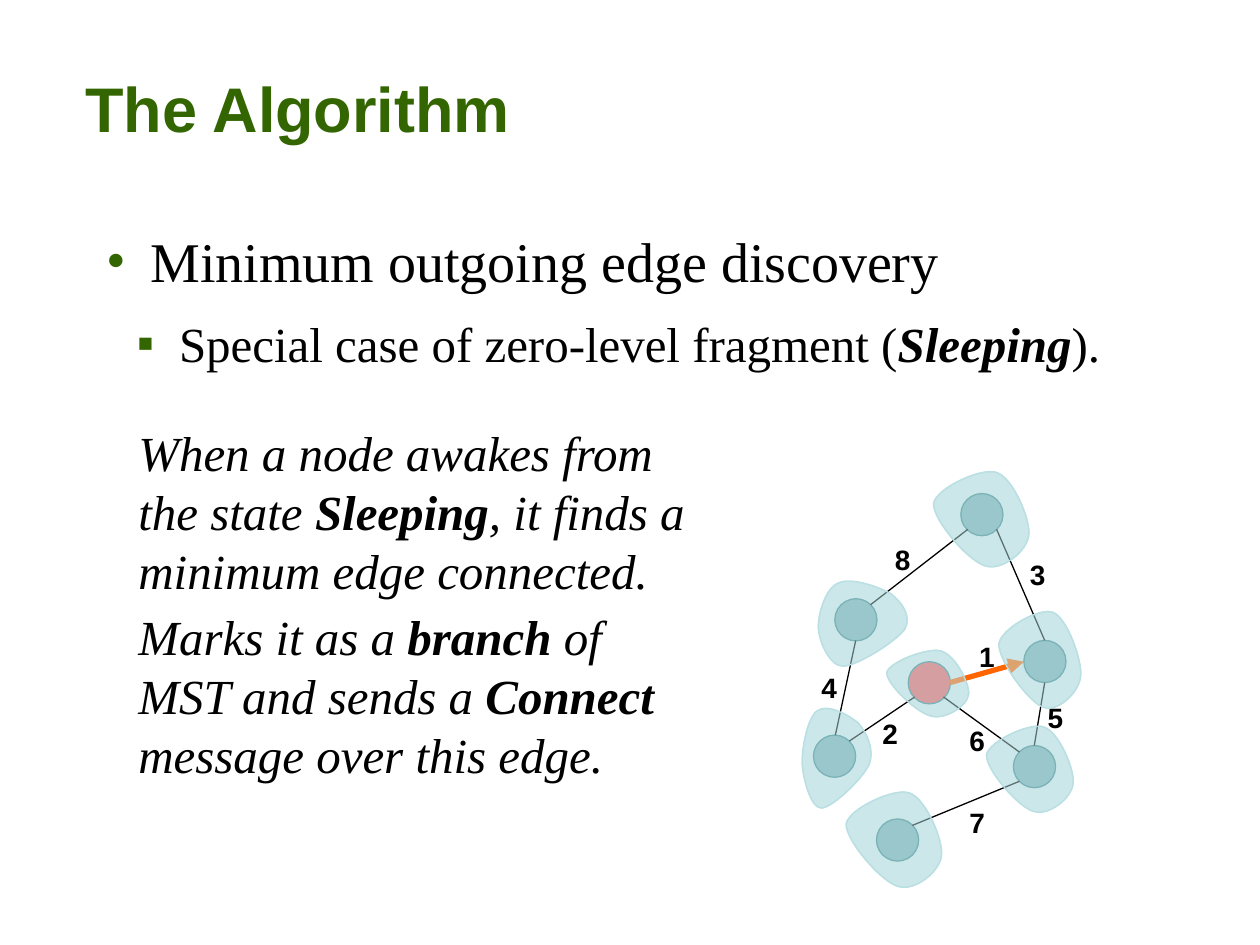
from pptx import Presentation
from pptx.dml.color import RGBColor
from pptx.enum.shapes import MSO_CONNECTOR, MSO_SHAPE
from pptx.enum.text import MSO_ANCHOR, PP_ALIGN
from pptx.oxml.ns import qn
from pptx.util import Cm, Pt
from lxml.etree import SubElement

COLORS = {
    "green": "336600",
    "black": "000000",
    "teal": "39858B",
    "pale": "BBE0E3",
    "red": "FF0000",
    "orange": "FF6600",
}
SERIF, SANS = "Times New Roman", "Arial"
NODE_SIZE = 0.85

# Closed Bezier outlines in percent of their box: anchor, then control, control, anchor
KITE = [(1, 35), (4, 20), (50, 0), (65, 5),
        (82, 10), (100, 51), (98, 66),
        (96, 82), (71, 100), (55, 96),
        (38, 93), (0, 51), (1, 35)]
PEAR = [(22, 7), (35, 0), (65, 11), (78, 19),
        (89, 28), (100, 43), (93, 58),
        (84, 72), (42, 100), (27, 100),
        (13, 100), (2, 73), (1, 58),
        (0, 42), (9, 12), (22, 7)]

# Fragments: outline, left, top, width, height
FRAGMENTS = [
    (PEAR, 16.48, 11.63, 1.9, 1.8),
    (KITE, 18.8, 9.42, 1.98, 2.08),
    (PEAR, 16.16, 14.18, 1.47, 2.11),
    (KITE, 17.86, 13.05, 1.7, 1.45),
    (KITE, 20.12, 12.24, 1.7, 2.11),
    (KITE, 19.87, 14.56, 1.8, 1.88),
    (KITE, 17.04, 15.88, 1.98, 2.08),
]
AWAKE_NODE = (18.31, 13.34)
NODES = [(19.37, 9.95), (20.43, 15.03), (20.64, 12.91),
         (17.67, 16.51), (16.83, 12.07), (16.4, 14.82)]
# Edges: weight, start, end, corner of the label
EDGES = [
    ("8", (17.55, 12.19), (19.51, 10.67), (17.79, 10.74)),
    ("1", (19.15, 13.76), (20.64, 13.34), (19.49, 12.7)),
    ("3", (21.06, 12.91), (20.09, 10.67), (20.51, 11.05)),
    ("2", (18.44, 14.05), (17.12, 14.94), (17.54, 14.25)),
    ("6", (19.02, 14.05), (20.55, 15.16), (19.29, 14.39)),
    ("5", (20.85, 15.03), (21.06, 13.76), (20.87, 13.92)),
    ("7", (20.55, 15.75), (18.39, 16.64), (19.29, 16.05)),
    ("4", (16.84, 14.82), (17.25, 12.91), (16.31, 13.33)),
]
MINIMUM_EDGE = "1"


class SlideBuilder:
    def __init__(self, slide):
        self.slide = slide

    def color(self, name):
        return RGBColor.from_string(COLORS[name])

    def font(self, paragraph, name, size, color="black", bold=None, italic=None):
        font = paragraph.font
        font.name, font.size, font.bold, font.italic = name, Pt(size), bold, italic
        font.color.rgb = self.color(color)

    def paint(self, shape, fill, line, opacity):
        shape.shadow.inherit = False
        shape.fill.solid()
        shape.fill.fore_color.rgb = self.color(fill)
        fill_color = shape.fill._xPr.find(qn("a:solidFill"))[0]
        SubElement(fill_color, qn("a:alpha"), val=str(opacity * 1000))
        shape.line.color.rgb = self.color(line)
        shape.line.width = Pt(0.75)

    def title(self, text, left, top, width, height):
        shape = self.slide.shapes.title
        shape.left, shape.top, shape.width, shape.height = map(Cm, (left, top, width, height))
        frame = shape.text_frame
        frame.text = text
        frame.vertical_anchor = MSO_ANCHOR.TOP
        paragraph = frame.paragraphs[0]
        paragraph.alignment = PP_ALIGN.LEFT
        self.font(paragraph, SANS, 36, "green", bold=True)

    def text(self, runs, left, top, width, height, size, italic=None, bullet=None, indent=0.88):
        """Runs alternate between plain and strong (bold italic)."""
        frame = self.slide.shapes.add_textbox(*map(Cm, (left, top, width, height))).text_frame
        frame.word_wrap = True
        paragraph = frame.paragraphs[0]
        self.font(paragraph, SERIF, size, italic=italic)
        for index, words in enumerate(runs):
            run = paragraph.add_run()
            run.text = words
            if index % 2:
                run.font.bold = run.font.italic = True
        if bullet:
            properties = paragraph._p.get_or_add_pPr()
            properties.set("marL", str(Cm(indent)))
            properties.set("indent", str(-Cm(indent)))
            bullet_color = properties.makeelement(qn("a:buClr"))
            SubElement(bullet_color, qn("a:srgbClr"), val=COLORS["green"])
            bullet_font = properties.makeelement(qn("a:buFont"), {"typeface": SERIF})
            character = properties.makeelement(qn("a:buChar"), {"char": bullet})
            for position, element in enumerate((bullet_color, bullet_font, character)):
                properties.insert(position, element)

    def label(self, text, left, top):
        frame = self.slide.shapes.add_textbox(Cm(left), Cm(top), Cm(0.64), Cm(1.07)).text_frame
        frame.word_wrap = False
        frame.vertical_anchor = MSO_ANCHOR.MIDDLE
        paragraph = frame.paragraphs[0]
        paragraph.text = text
        paragraph.alignment = PP_ALIGN.CENTER
        self.font(paragraph, SANS, 16, bold=True)

    def fragment(self, outline, left, top, width, height):
        # The freeform gives the box; its path is then filled with curves
        right, bottom = left + width, top + height
        builder = self.slide.shapes.build_freeform(Cm(left), Cm(top))
        builder.add_line_segments([(Cm(right), Cm(top)), (Cm(right), Cm(bottom))])
        shape = builder.convert_to_shape()
        curve = shape._element.spPr.find(".//" + qn("a:path"))
        for child in list(curve):
            curve.remove(child)
        curve.set("w", "100")
        curve.set("h", "100")
        segments = [("a:moveTo", outline[:1])]
        segments += [("a:cubicBezTo", outline[i:i + 3]) for i in range(1, len(outline), 3)]
        for tag, points in segments:
            segment = SubElement(curve, qn(tag))
            for x, y in points:
                SubElement(segment, qn("a:pt"), x=str(x), y=str(y))
        SubElement(curve, qn("a:close"))
        self.paint(shape, "pale", "pale", 50)

    def node(self, left, top, fill="teal"):
        shape = self.slide.shapes.add_shape(
            MSO_SHAPE.OVAL, Cm(left), Cm(top), Cm(NODE_SIZE), Cm(NODE_SIZE))
        self.paint(shape, fill, "teal", 60)

    def edge(self, start, end, color="black", width=0.75, arrow=False):
        connector = self.slide.shapes.add_connector(
            MSO_CONNECTOR.STRAIGHT, *map(Cm, start + end))
        connector.line.color.rgb = self.color(color)
        connector.line.width = Pt(width)
        if arrow:
            SubElement(connector.line._get_or_add_ln(), qn("a:tailEnd"), type="triangle")
        SubElement(connector._element.spPr, qn("a:effectLst"))


def main():
    presentation = Presentation()
    presentation.slide_width, presentation.slide_height = Cm(25.4), Cm(19.05)
    builder = SlideBuilder(presentation.slides.add_slide(presentation.slide_layouts[5]))

    # Fragments behind the graph
    for fragment in FRAGMENTS:
        builder.fragment(*fragment)

    # Title and text
    builder.title("The Algorithm", 1.47, 1.27, 22.66, 1.78)
    builder.text(["Minimum outgoing edge discovery"], 1.9, 4.45, 19.05, 1.63, 32, bullet="•")
    builder.text(["Special case of zero-level fragment (", "Sleeping", ")."],
                 2.51, 6.2, 20.98, 1.45, 28, bullet="▪", indent=0.85)
    builder.text(["When a node awakes from the state ", "Sleeping",
                  ", it finds a minimum edge connected."],
                 2.54, 8.39, 11.81, 3.81, 28, italic=True)
    builder.text(["Marks it as a ", "branch", " of MST and sends a ", "Connect",
                  " message over this edge."],
                 2.54, 12.11, 11.81, 3.81, 28, italic=True)

    # Graph: nodes, edges, weights
    builder.node(*AWAKE_NODE, fill="red")
    for node in NODES:
        builder.node(*node)
    for weight, start, end, _ in EDGES:
        if weight == MINIMUM_EDGE:
            builder.edge(start, end, "orange", 3, arrow=True)
        else:
            builder.edge(start, end)
    for weight, _, _, corner in EDGES:
        builder.label(weight, *corner)

    # Translucent fragments over the graph
    for fragment in FRAGMENTS:
        builder.fragment(*fragment)

    presentation.save("out.pptx")


if __name__ == "__main__":
    main()
